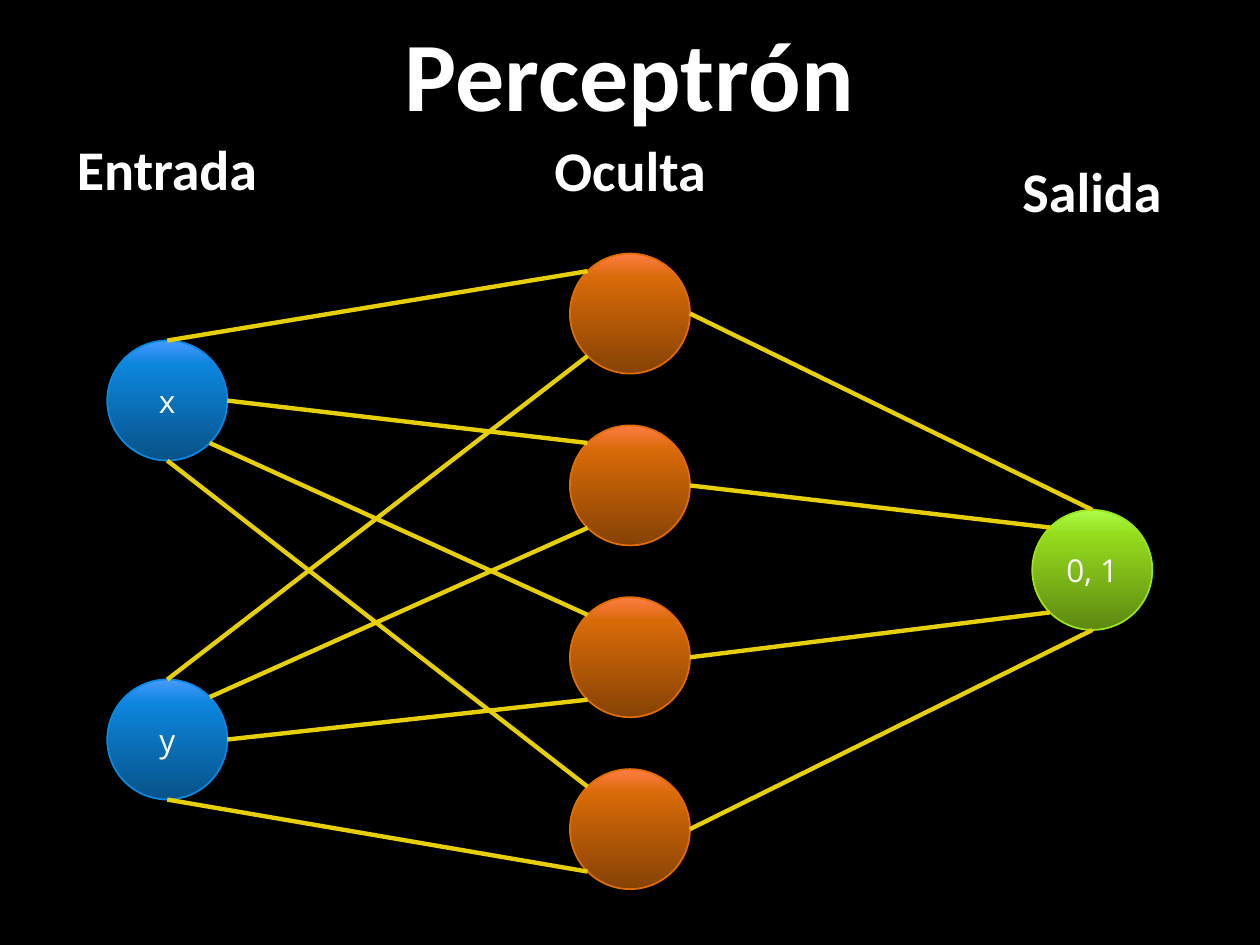
import math
from lxml import etree
from pptx import Presentation
from pptx.dml.color import RGBColor
from pptx.enum import shapes, text
from pptx.oxml import parse_xml
from pptx.oxml.ns import nsdecls, qn
from pptx.util import Pt

COLORS = {"background": "000000", "text": "FFFFFF", "link": "E7CF08"}
# Each layer: outline, then gradient from bottom to top
LAYERS = {
    "input": ("0789E6", ("085288", "0C85DC", "489AFF")),
    "hidden": ("E26C02", ("864205", "D86A08", "FF7D44")),
    "output": ("9BE618", ("5D8812", "96DC1D", "ACFF4A")),
}
DIAMETER = 68.6
# Ellipse connection sites run counterclockwise from the top
TOP, TOP_LEFT, LEFT, BOTTOM_LEFT, BOTTOM, BOTTOM_RIGHT, RIGHT, TOP_RIGHT = range(8)

prs = Presentation()
prs.slide_width, prs.slide_height = Pt(720), Pt(540)
s = prs.slides.add_slide(prs.slide_layouts[5])
s.background.fill.solid()
s.background.fill.fore_color.rgb = RGBColor.from_string(COLORS["background"])


def write(sp, label, size, font, bold=False):
    tf = sp.text_frame
    tf.word_wrap = True
    p = tf.paragraphs[0]
    p.text = label
    p.alignment = text.PP_ALIGN.CENTER
    p.font.size, p.font.name, p.font.bold = Pt(size), font, bold
    p.font.color.rgb = RGBColor.from_string(COLORS["text"])


def link(start, start_site, end, end_site):
    """Join two circles, glued at the given connection sites."""
    ends = []
    for sp, site in ((start, start_site), (end, end_site)):
        angle = math.radians(90 + 45 * site)
        radius = sp.width / 2
        ends += [round(sp.left + radius * (1 + math.cos(angle))),
                 round(sp.top + radius * (1 - math.sin(angle)))]
    c = s.shapes.add_connector(shapes.MSO_CONNECTOR.STRAIGHT, *ends)
    c.line.width = Pt(2.5)
    c.line.color.rgb = RGBColor.from_string(COLORS["link"])
    etree.SubElement(c._element.spPr, qn("a:effectLst"))
    glue = c._element.find(".//" + qn("p:cNvCxnSpPr"))
    for tag, sp, site in (("a:stCxn", start, start_site), ("a:endCxn", end, end_site)):
        etree.SubElement(glue, qn(tag), id=str(sp.shape_id), idx=str(site))


title = s.shapes.title
title.left, title.top, title.width, title.height = Pt(61.2), Pt(8.6), Pt(597), Pt(65)
title.text_frame.vertical_anchor = text.MSO_ANCHOR.MIDDLE
write(title, "Perceptrón", 56, "Calibri", True)

# Circles: layer, centre x, first centre y, vertical step, labels
nodes = {}
for layer, x, y, step, labels in (
    ("input", 95.6, 228.9, 193.7, ("x", "y")),
    ("hidden", 360, 179.2, 98.2, ("", "", "", "")),
    ("output", 624.2, 325.7, 0, ("0, 1",)),
):
    outline, gradient = LAYERS[layer]
    stops = "".join(f'<a:gs pos="{pos}"><a:srgbClr val="{color}"/></a:gs>'
                    for pos, color in zip((0, 80000, 100000), gradient))
    nodes[layer] = []
    for i, label in enumerate(labels):
        sp = s.shapes.add_shape(
            shapes.MSO_SHAPE.OVAL, Pt(x - DIAMETER / 2),
            Pt(y + i * step - DIAMETER / 2), Pt(DIAMETER), Pt(DIAMETER))
        sp.shadow.inherit = False
        sp.line.color.rgb = RGBColor.from_string(outline)
        sp.line.width = Pt(1)
        sp._element.spPr.find(qn("a:prstGeom")).addnext(parse_xml(
            f'<a:gradFill {nsdecls("a")} rotWithShape="1"><a:gsLst>{stops}</a:gsLst>'
            '<a:lin ang="16200000" scaled="0"/></a:gradFill>'))
        if label:
            sp.text_frame.vertical_anchor = text.MSO_ANCHOR.MIDDLE
            write(sp, label, 18, "Open Sans")
        nodes[layer].append(sp)

node_x, node_y = nodes["input"]
output = nodes["output"][0]
x_sites = (TOP, RIGHT, BOTTOM_RIGHT, BOTTOM)
y_sites = (TOP, TOP_RIGHT, RIGHT, BOTTOM)
output_sites = (TOP, TOP_LEFT, BOTTOM_LEFT, BOTTOM)
for hidden, x_site, y_site, out_site in zip(nodes["hidden"], x_sites, y_sites, output_sites):
    link(node_x, x_site, hidden, TOP_LEFT)
    link(node_y, y_site, hidden, BOTTOM_LEFT)
    link(hidden, RIGHT, output, out_site)

for label, left, top in (("Entrada", 21.4, 73.2), ("Oculta", 286, 73.8), ("Salida", 550, 85.7)):
    box = s.shapes.add_textbox(Pt(left), Pt(top), Pt(148.3), Pt(46))
    write(box, label, 32, "Calibri", True)

prs.save("out.pptx")
